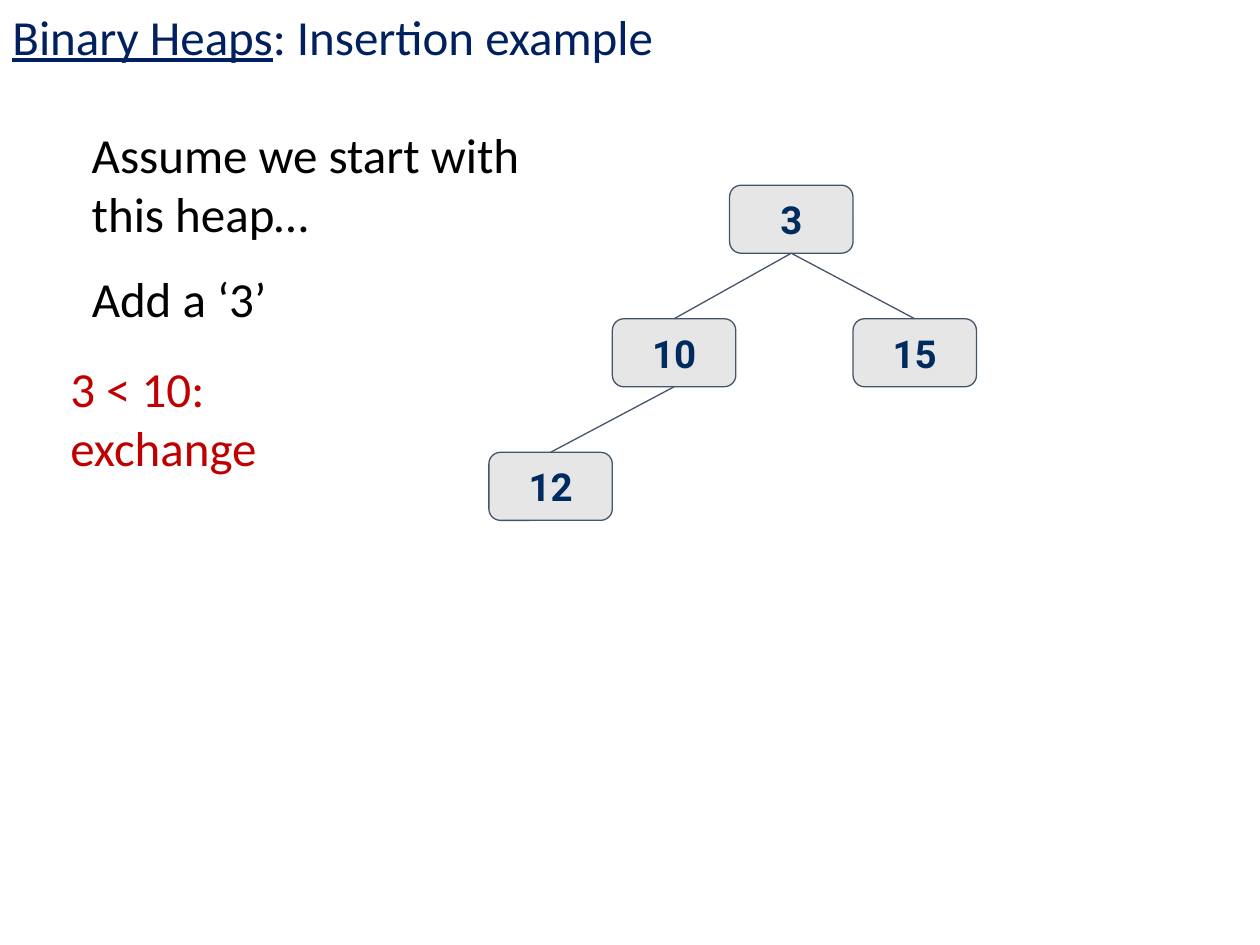
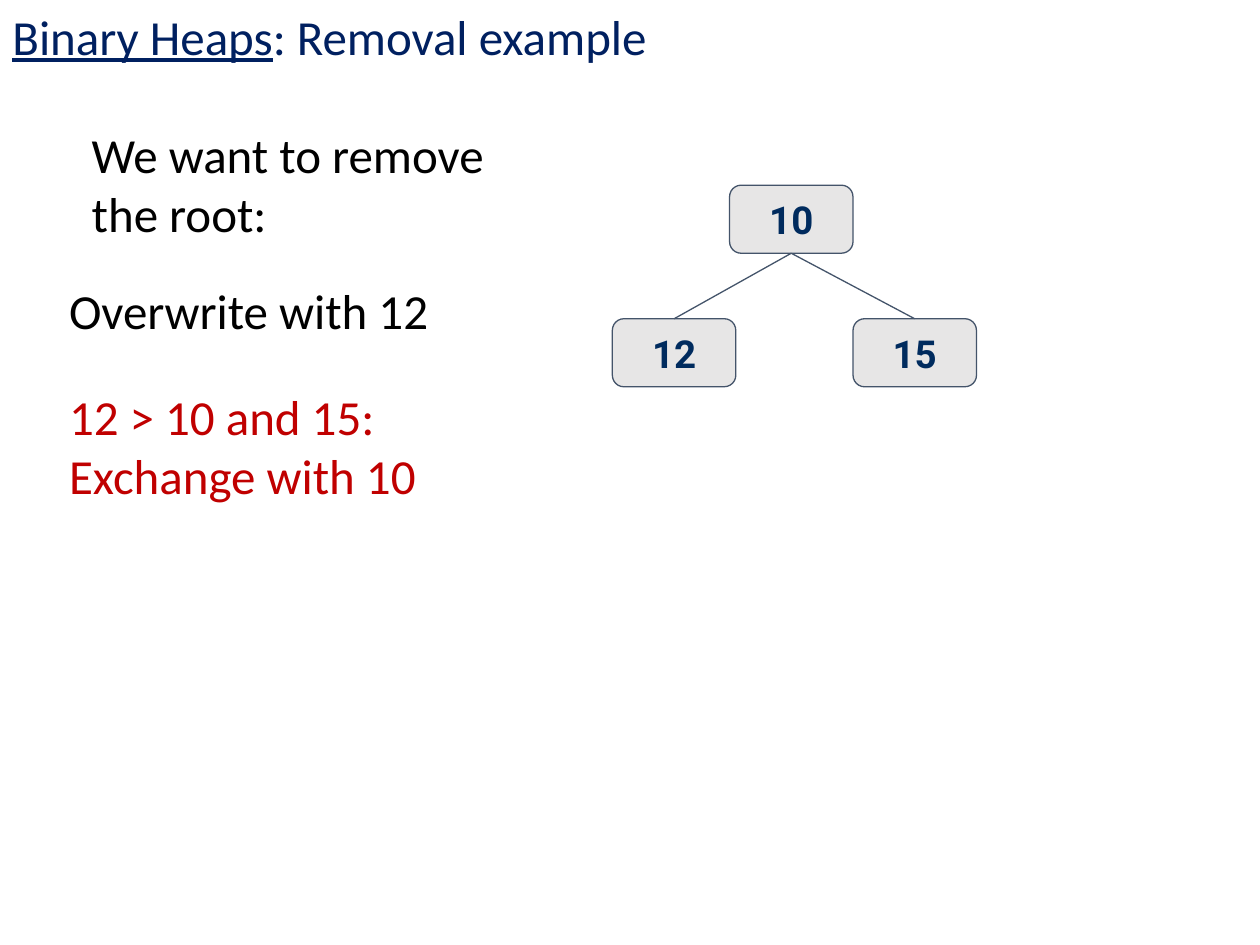
import pptx
import pptx.dml.color
import pptx.enum.shapes
import pptx.enum.text
import pptx.oxml.ns
import pptx.util
from lxml import etree

NAVY, BLACK, RED = "002060", "000000", "C00000"
NODE_FILL, NODE_LINE, NODE_TEXT = "E7E6E6", "44546A", "002B5E"
BODY_FONT, NODE_FONT = "Calibri", "Roboto"

NODE_W, NODE_H = 0.98, 0.54
TREE_TOP, LEVEL_STEP = 1.47, 1.06
NODE_LEFTS = [5.79, 4.86, 6.77, 3.88]  # in heap order: root, its children, first leaf


def inches(*values):
    return [pptx.util.Inches(v) for v in values]


def color(hex_code):
    return pptx.dml.color.RGBColor.from_string(hex_code)


def add_run(p, text, size, font, hex_code, bold=False, underline=False):
    r = p.add_run()
    r.text = text
    r.font.size = pptx.util.Pt(size)
    r.font.name = font
    r.font.color.rgb = color(hex_code)
    r.font.bold = bold
    r.font.underline = underline


def add_text(s, box, paragraphs, hex_code):
    """Add a text box; each paragraph is a list of (text, underline) runs."""
    tf = s.shapes.add_textbox(*inches(*box)).text_frame
    tf.word_wrap = True
    tf.auto_size = pptx.enum.text.MSO_AUTO_SIZE.SHAPE_TO_FIT_TEXT
    for i, runs in enumerate(paragraphs):
        p = tf.add_paragraph() if i else tf.paragraphs[0]
        for text, underline in runs:
            add_run(p, text, 28, BODY_FONT, hex_code, underline=underline)


def add_note(s, box, lines, hex_code=BLACK):
    add_text(s, box, [[(line, False)] for line in lines], hex_code)


def add_node(s, left, top, value):
    sp = s.shapes.add_shape(pptx.enum.shapes.MSO_SHAPE.ROUNDED_RECTANGLE,
                            *inches(left, top, NODE_W, NODE_H))
    sp.shadow.inherit = False
    sp.adjustments[0] = 0.17
    sp.fill.solid()
    sp.fill.fore_color.rgb = color(NODE_FILL)
    sp.line.color.rgb = color(NODE_LINE)
    sp.line.width = pptx.util.Pt(0.75)
    tf = sp.text_frame
    tf.margin_left = tf.margin_right = tf.margin_top = tf.margin_bottom = pptx.util.Inches(0.1)
    tf.vertical_anchor = pptx.enum.text.MSO_ANCHOR.MIDDLE
    p = tf.paragraphs[0]
    p.alignment = pptx.enum.text.PP_ALIGN.CENTER
    add_run(p, str(value), 22, NODE_FONT, NODE_TEXT, bold=True)
    return sp


def add_edge(s, parent, child):
    line = s.shapes.add_connector(pptx.enum.shapes.MSO_CONNECTOR.STRAIGHT, 0, 0, 0, 0)
    line.begin_connect(parent, 2)
    line.end_connect(child, 0)
    line.line.color.rgb = color(NODE_LINE)
    line.line.width = pptx.util.Pt(0.75)
    etree.SubElement(line._element.spPr, pptx.oxml.ns.qn("a:effectLst"))


def add_heap(s, values):
    """Draw a heap given as an array, where the parent of i is (i - 1) // 2."""
    nodes = []
    for i, value in enumerate(values):
        level = (i + 1).bit_length() - 1
        nodes.append(add_node(s, NODE_LEFTS[i], TREE_TOP + level * LEVEL_STEP, value))
        if i:
            add_edge(s, nodes[(i - 1) // 2], nodes[i])


def add_example(prs, name, intro, heap):
    s = prs.slides.add_slide(prs.slide_layouts[6])
    add_text(s, (0, 0, 9.79, 0.57), [[("Binary Heaps", True), (f": {name} example", False)]], NAVY)
    add_note(s, (0.63, 0.94, 3.9, 1.04), [intro])
    add_heap(s, heap)
    return s


def main():
    prs = pptx.Presentation()
    prs.slide_width, prs.slide_height = inches(10, 7.5)

    s = add_example(prs, "Insertion", "Assume we start with this heap…", [3, 10, 15, 12])
    add_note(s, (0.63, 2.08, 2.01, 0.57), ["Add a ‘3’"])
    add_note(s, (0.46, 2.8, 2.01, 1.04), ["3 < 10:", "exchange"], RED)

    s = add_example(prs, "Removal", "We want to remove the root:", [10, 12, 15])
    add_note(s, (0.45, 2.18, 3.9, 0.57), ["Overwrite with 12"])
    add_note(s, (0.45, 3.02, 3.9, 1.04), ["12 > 10 and 15:", "Exchange with 10"], RED)

    prs.save("out.pptx")


if __name__ == "__main__":
    main()
